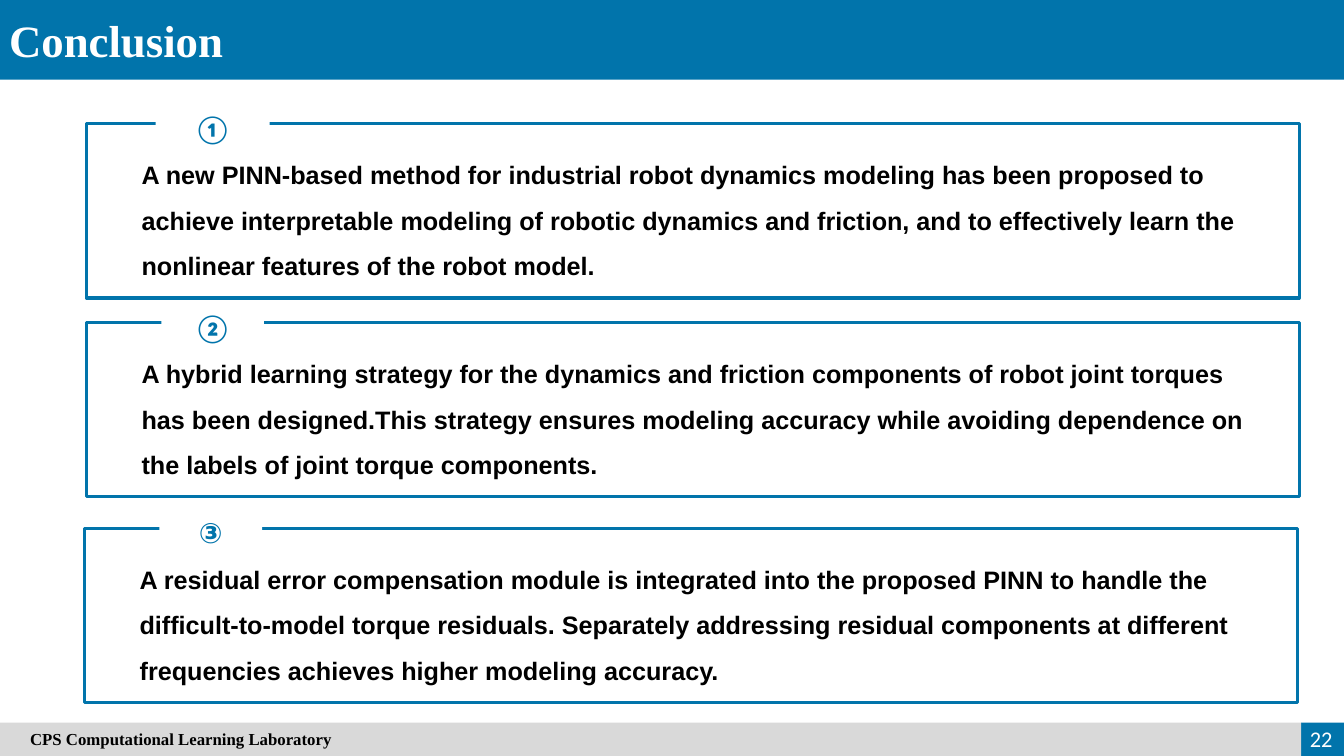
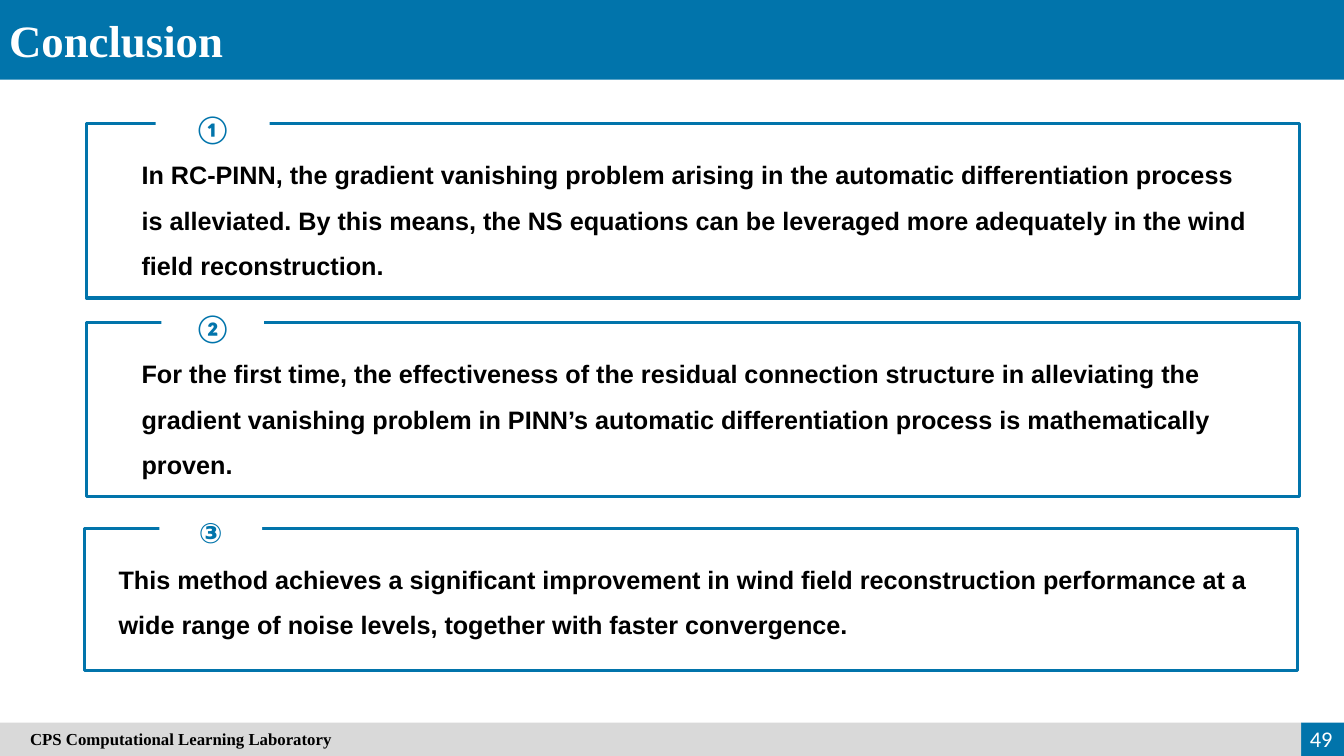
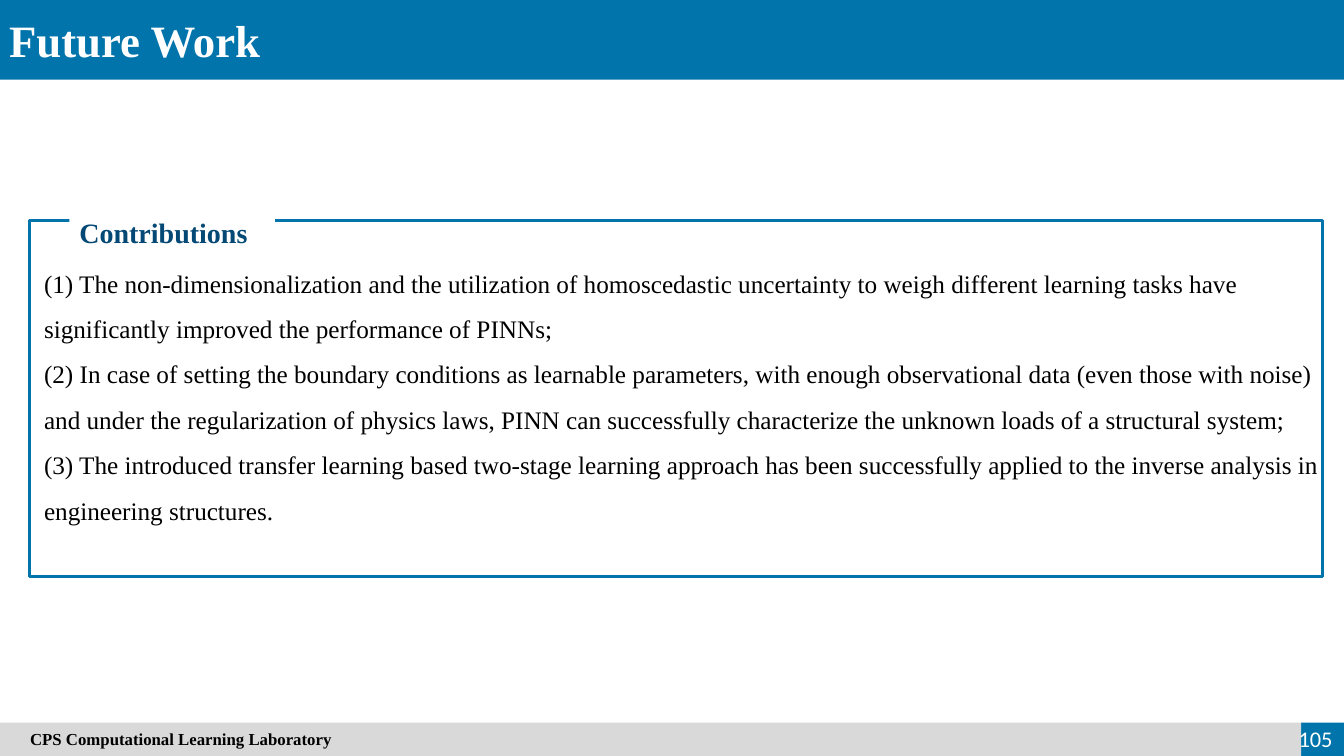
from pptx import Presentation
from pptx.dml.color import RGBColor
from pptx.enum.shapes import MSO_SHAPE as Shape
from pptx.enum.text import MSO_ANCHOR as Anchor, PP_ALIGN as Align
from pptx.util import Cm, Pt

BLUE = RGBColor(0x01, 0x74, 0xAB)
NAVY = RGBColor(0x04, 0x48, 0x75)
GREY = RGBColor(0xD9, 0xD9, 0xD9)
BLACK = RGBColor(0, 0, 0)
WHITE = RGBColor(255, 255, 255)

SERIF, SANS, LATIN = "Times New Roman", "Arial", "Calibri"
WIDE, HIGH = 33.87, 19.05
FOOT, EDGE = 18.21, 32.79  # top of the footer, left of the number square
CARD, TALL = 30.56, 4.39

# left and top of each card; width, height and font of its number tag
SPOTS = [
    (2.18, 3.12, 2.87, 1.4, LATIN),
    (2.18, 8.13, 2.59, 1.32, LATIN),
    (2.13, 13.31, 2.59, 1.32, SANS),
]

# text, card height, text indent, text width
ROBOT = [
    ("A new PINN-based method for industrial robot dynamics modeling has been "
     "proposed to achieve interpretable modeling of robotic dynamics and "
     "friction, and to effectively learn the nonlinear features of the robot "
     "model.", TALL, 1.14, 28.6),
    ("A hybrid learning strategy for the dynamics and friction components of "
     "robot joint torques has been designed.This strategy ensures modeling "
     "accuracy while avoiding dependence on the labels of joint torque "
     "components.", TALL, 1.14, 28.6),
    ("A residual error compensation module is integrated into the proposed "
     "PINN to handle the difficult-to-model torque residuals. Separately "
     "addressing residual components at different frequencies achieves higher "
     "modeling accuracy.", TALL, 1.14, 28.6),
]
WIND = [
    ("In RC-PINN, the gradient vanishing problem arising in the automatic "
     "differentiation process is alleviated. By this means, the NS equations "
     "can be leveraged more adequately in the wind field reconstruction.",
     TALL, 1.14, 28.6),
    ("For the first time, the effectiveness of the residual connection "
     "structure in alleviating the gradient vanishing problem in PINN’s "
     "automatic differentiation process is mathematically proven.",
     TALL, 1.14, 28.6),
    ("This method achieves a significant improvement in wind field "
     "reconstruction performance at a wide range of noise levels, together "
     "with faster convergence.", 3.58, 0.61, 29.59),
]
GAINS = [
    "(1) The non-dimensionalization and the utilization of homoscedastic "
    "uncertainty to weigh different learning tasks have significantly improved "
    "the performance of PINNs;",
    "(2) In case of setting the boundary conditions as learnable parameters, "
    "with enough observational data (even those with noise) and under the "
    "regularization of physics laws, PINN can successfully characterize the "
    "unknown loads of a structural system;",
    "(3) The introduced transfer learning based two-stage learning approach "
    "has been successfully applied to the inverse analysis in engineering "
    "structures.",
]


class Deck:
    def __init__(self):
        self.prs = Presentation()
        self.prs.slide_width, self.prs.slide_height = Cm(WIDE), Cm(HIGH)
        self.slide = None

    def page(self, title, num):
        """Start a slide with its title band and footer."""
        self.slide = self.prs.slides.add_slide(self.prs.slide_layouts[6])
        self.rect(0, 0, WIDE, 2.01, BLUE)
        head = self.text(0, 0.2, 13.6, 1.63, [title], SERIF, 32, WHITE, True)
        head.margin_left = Cm(0.23)
        self.rect(EDGE, FOOT, WIDE - EDGE, HIGH - FOOT, BLUE)
        foot = self.rect(0, FOOT, EDGE, HIGH - FOOT, GREY).text_frame
        self.fill(foot, ["CPS Computational Learning Laboratory"], SERIF, 12,
                  BLACK, True, anchor=Anchor.MIDDLE)
        foot.margin_left = Cm(0.76)
        self.text(32.23, 18.11, 1.6, 1.02, [str(num)], LATIN, 16, WHITE,
                  align=Align.RIGHT, anchor=Anchor.MIDDLE)

    def rect(self, x, y, w, h, fill=None):
        """Draw a filled block, or a blue outline when there is no fill."""
        box = self.slide.shapes.add_shape(
            Shape.RECTANGLE, Cm(x), Cm(y), Cm(w), Cm(h))
        box.shadow.inherit = False
        if fill is None:
            box.fill.background()
            box.line.color.rgb = BLUE
            box.line.width = Pt(2.25)
        else:
            box.fill.solid()
            box.fill.fore_color.rgb = fill
            box.line.fill.background()
        return box

    def fill(self, frame, paras, font, size, color, bold=False,
             align=Align.LEFT, anchor=Anchor.TOP, space=1.0):
        """Fill a text frame with paragraphs of one style."""
        frame.word_wrap = True
        frame.vertical_anchor = anchor
        for i, line in enumerate(paras):
            para = frame.add_paragraph() if i else frame.paragraphs[0]
            para.text = line
            para.alignment = align
            para.line_spacing = space
            para.font.name = font
            para.font.size = Pt(size)
            para.font.bold = bold
            para.font.color.rgb = color

    def text(self, x, y, w, h, paras, *style, **more):
        box = self.slide.shapes.add_textbox(Cm(x), Cm(y), Cm(w), Cm(h))
        self.fill(box.text_frame, paras, *style, **more)
        return box.text_frame

    def tag(self, x, y, w, h, label, font, color, **more):
        """Put a white label over the top edge of a frame."""
        box = self.rect(x, y, w, h, WHITE)
        self.fill(box.text_frame, [label], font, 20, color, True,
                  anchor=Anchor.MIDDLE, **more)

    def cards(self, items):
        for spot, mark, item in zip(SPOTS, "①②③", items):
            x, y, w, h, font = spot
            words, tall, dent, span = item
            self.rect(x, y, CARD, tall)
            self.text(x + dent, y + 0.4, span, tall - 0.7, [words], SANS, 18,
                      BLACK, True, space=1.5)
            self.tag(x + 3.18 - w / 2, y + 0.11 - h / 2, w, h, mark, font,
                     BLUE, align=Align.CENTER)


def main():
    deck = Deck()
    for num, items in ((22, ROBOT), (49, WIND)):
        deck.page("Conclusion", num)
        deck.cards(items)

    deck.page("Future Work", 105)
    deck.rect(0.74, 5.56, 32.59, 8.97)
    deck.tag(1.75, 4.93, 5.18, 1.42, "Contributions", SERIF, NAVY, space=1.5)
    deck.text(0.86, 6.25, 33, 7.19, GAINS, SERIF, 18, BLACK, space=1.5)
    deck.prs.save("out.pptx")


if __name__ == "__main__":
    main()
